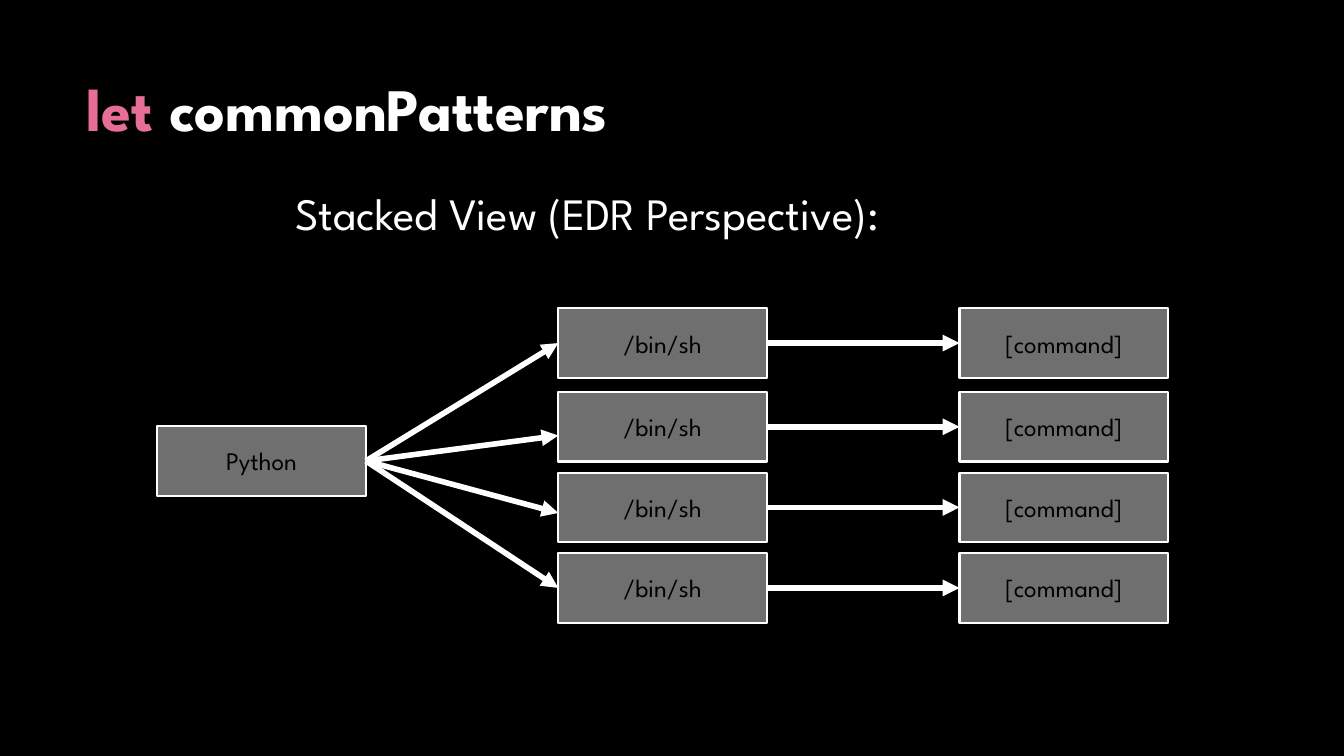
from dataclasses import dataclass

from lxml.etree import SubElement
from pptx import Presentation
from pptx.dml.color import RGBColor as RGB
from pptx.enum.shapes import MSO_CONNECTOR as CONN, MSO_SHAPE as SHAPE
from pptx.enum.text import MSO_ANCHOR as ANCHOR, PP_ALIGN as ALIGN
from pptx.oxml.ns import qn
from pptx.shapes.autoshape import Shape
from pptx.shapes.connector import Connector
from pptx.slide import Slide
from pptx.text.text import _Run as Run
from pptx.util import Cm, Pt


@dataclass(frozen=True)
class Theme:
    font: str = "League Spartan"
    background: RGB = RGB(0x00, 0x00, 0x00)
    text: RGB = RGB(0xFF, 0xFF, 0xFF)
    keyword: RGB = RGB(0xE6, 0x6E, 0x97)
    box_fill: RGB = RGB(0x6F, 0x6F, 0x6F)
    box_text: RGB = RGB(0x00, 0x00, 0x00)
    line: RGB = RGB(0xFF, 0xFF, 0xFF)
    title_size: float = 43
    subtitle_size: float = 32
    box_size: float = 18
    border_width: float = 1.5
    arrow_width: float = 4


@dataclass(frozen=True)
class Row:
    """A shell and its command; fan_drop is how far below centre the fan arrow lands."""
    top: float
    fan_drop: float = 0


THEME = Theme()
BOX_W, BOX_H = 5.26, 1.75
PYTHON_X, SHELL_X, COMMAND_X = (3.96 + 10.11 * col for col in range(3))
PYTHON_TOP = 10.74
ROWS = [Row(7.77), Row(9.88, 0.22), Row(11.91, 0.14), Row(13.94)]
TOP_SIDE, LEFT_SIDE, BOTTOM_SIDE, RIGHT_SIDE = range(4)


def style_run(r: Run, size: float, color: RGB, bold: bool = False) -> None:
    r.font.name = THEME.font
    r.font.size = Pt(size)
    r.font.bold = bold
    r.font.color.rgb = color


def add_text(slide: Slide, left: float, top: float, width: float, height: float) -> Shape:
    sp = slide.shapes.add_textbox(Cm(left), Cm(top), Cm(width), Cm(height))
    sp.text_frame.word_wrap = True
    return sp


def add_title(slide: Slide) -> None:
    tf = add_text(slide, 1.93, 1.7, 27.51, 2.01).text_frame
    tf.vertical_anchor = ANCHOR.MIDDLE
    for text, color in (("let ", THEME.keyword), ("commonPatterns", THEME.text)):
        r = tf.paragraphs[0].add_run()
        r.text = text
        style_run(r, THEME.title_size, color, bold=True)


def add_subtitle(slide: Slide) -> None:
    p = add_text(slide, 7.19, 4.55, 19.23, 1.63).text_frame.paragraphs[0]
    p.text = "Stacked View (EDR Perspective):"
    style_run(p.runs[0], THEME.subtitle_size, THEME.text)


def add_box(slide: Slide, text: str, left: float, top: float) -> Shape:
    sp = slide.shapes.add_shape(SHAPE.RECTANGLE, Cm(left), Cm(top), Cm(BOX_W), Cm(BOX_H))
    sp.shadow.inherit = False
    sp.fill.solid()
    sp.fill.fore_color.rgb = THEME.box_fill
    sp.line.color.rgb = THEME.line
    sp.line.width = Pt(THEME.border_width)
    tf = sp.text_frame
    tf.vertical_anchor = ANCHOR.MIDDLE
    p = tf.paragraphs[0]
    p.text = text
    p.alignment = ALIGN.CENTER
    style_run(p.runs[0], THEME.box_size, THEME.box_text)
    return sp


def add_arrow(slide: Slide, source: Shape, target: Shape, drop: float = 0) -> Connector:
    """Arrow from the right of source to the left of target, drop cm below its centre."""
    end_y = target.top + target.height // 2 + Cm(drop)
    arrow = slide.shapes.add_connector(
        CONN.STRAIGHT, source.left + source.width, source.top + source.height // 2,
        target.left, end_y)
    arrow.begin_connect(source, RIGHT_SIDE)
    if not drop:
        arrow.end_connect(target, LEFT_SIDE)
    arrow.line.color.rgb = THEME.line
    arrow.line.width = Pt(THEME.arrow_width)
    SubElement(arrow.line._get_or_add_ln(), qn("a:tailEnd"), type="triangle")
    SubElement(arrow._element.spPr, qn("a:effectLst"))
    return arrow


def main() -> None:
    prs = Presentation()
    prs.slide_width, prs.slide_height = Cm(33.87), Cm(19.05)
    slide = prs.slides.add_slide(prs.slide_layouts[6])
    slide.background.fill.solid()
    slide.background.fill.fore_color.rgb = THEME.background

    add_title(slide)
    add_subtitle(slide)
    python = add_box(slide, "Python", PYTHON_X, PYTHON_TOP)
    for row in ROWS:
        shell = add_box(slide, "/bin/sh", SHELL_X, row.top)
        command = add_box(slide, "[command]", COMMAND_X, row.top)
        add_arrow(slide, python, shell, row.fan_drop)
        add_arrow(slide, shell, command)
    prs.save("out.pptx")


if __name__ == "__main__":
    main()
